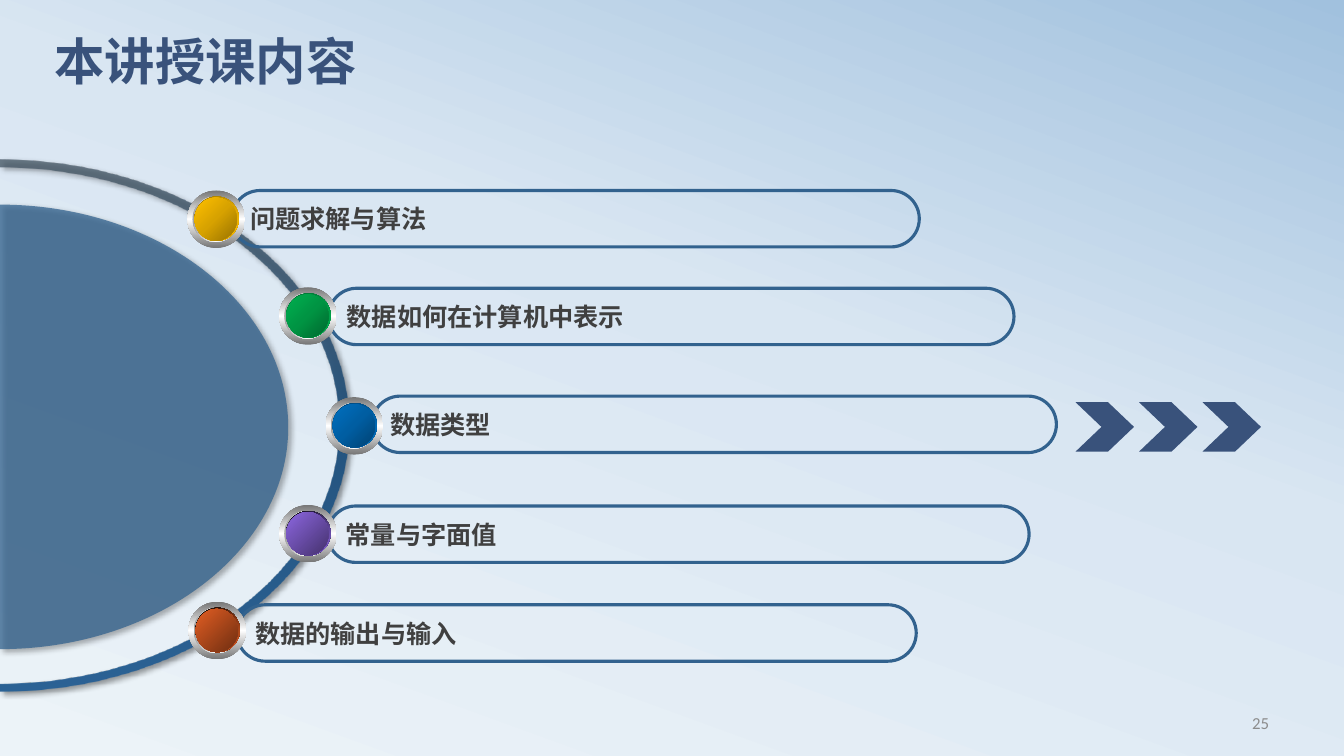
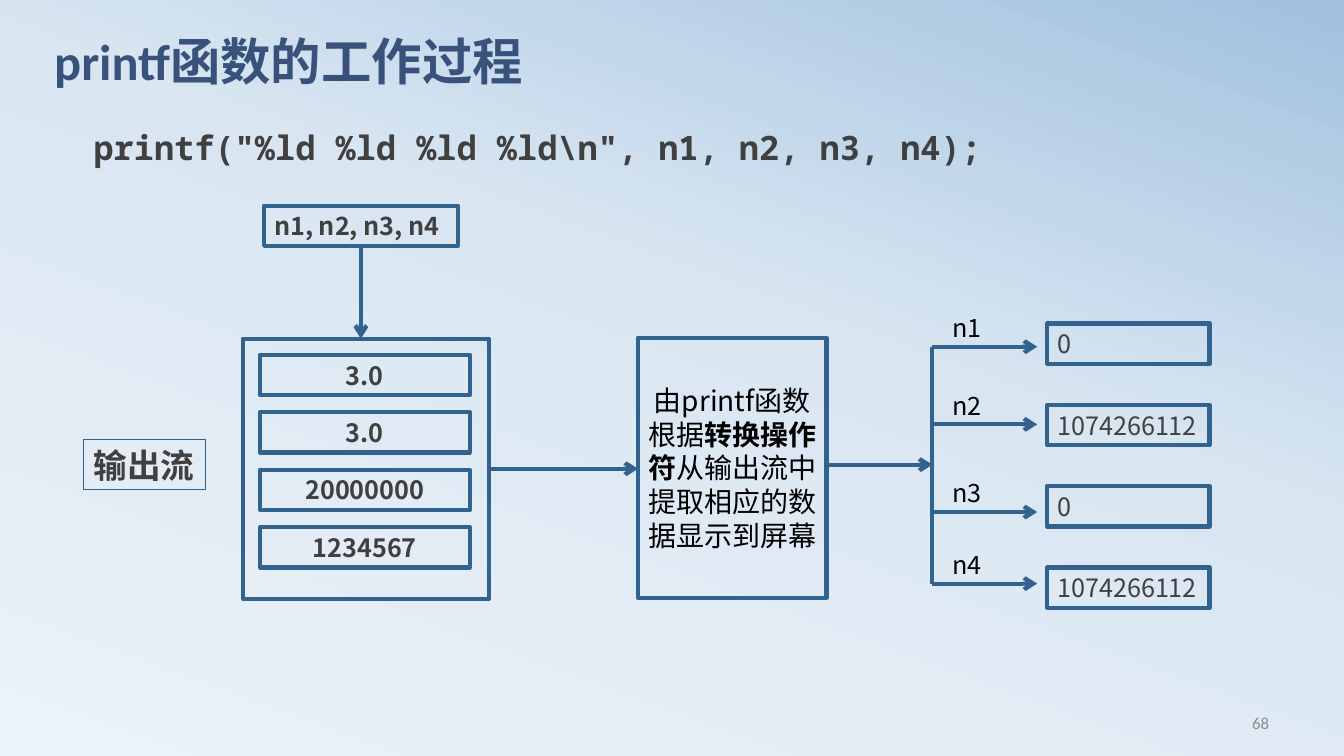
"""Build two lecture slides: an agenda on an arc and the printf data flow."""
from lxml.etree import SubElement
from pptx import Presentation
from pptx.dml.color import RGBColor
from pptx.enum.shapes import MSO_CONNECTOR, MSO_SHAPE
from pptx.enum.text import MSO_ANCHOR, MSO_AUTO_SIZE, PP_ALIGN
from pptx.oxml import parse_xml
from pptx.oxml.ns import nsdecls, qn
from pptx.util import Inches, Pt

THEME = {
    "navy": "39527B", "blue": "32628E", "text": "404040", "black": "000000", "grey": "8C8C8C",
    "background": [(0, "ECF3F8"), (58, "D9E6F2"), (100, "A1C1DE")],
    "arc": [(0, "445462", 75), (50, "24537D"), (100, "2B6295")],
    "bezel": [(0, "767676"), (50, "FFFFFF"), (100, "767676")],
    "silver": [(0, "A2A2A2"), (50, "FFFFFF"), (100, "A2A2A2")],
    "latin": "Calibri", "body": "Noto Sans CJK SC", "code": "Noto Sans Mono",
    "title": 36, "large": 24, "note": 20, "label": 18, "small": 12,
    "thick": 3, "medium": 2.25, "thin": 0.75,
}
GOLD = [(0, "977200"), (50, "D7A200"), (100, "FFC000")]
GREEN = [(0, "00682F"), (50, "009443"), (100, "00B050")]
BLUE = [(0, "004272"), (50, "005EA2"), (100, "0070C0")]
PURPLE = [(0, "8D67E1"), (100, "45326D")]
ORANGE = [(0, "E35E23"), (100, "6E2E11")]

AGENDA_TITLE, AGENDA_NUMBER = "本讲授课内容", "25"
AGENDA = [
    ("问题求解与算法", (2.3, 1.89, 6.82), (1.86, 1.89), GOLD, GOLD),
    ("数据如何在计算机中表示", (3.26, 2.86, 6.8), (2.77, 2.85), GREEN, GREEN),
    ("数据类型", (3.69, 3.93, 6.79), (3.23, 3.94), BLUE, BLUE),
    ("常量与字面值", (3.25, 5.02, 6.96), (2.77, 5.01), [(0, "000000"), (100, "8D67E1")], PURPLE),
    ("数据的输出与输入", (2.35, 6, 6.74), (1.87, 5.97), [(0, "000000"), (100, "E35E23")], ORANGE),
]
RING = [(0, 1.66), (3.36, 4.22), (0, 6.78), (0, 6.86), (3.46, 4.22), (0, 1.58)]
DOME = [(0, 2.03), (2.86, 4.24), (0, 6.44)]
ROUNDNESS = 0.55

FLOW_TITLE, FLOW_NUMBER = "printf函数的工作过程", "68"
STATEMENT = 'printf("%ld %ld %ld %ld\\n", n1, n2, n3, n4);'
ARGUMENTS, STREAM = "n1, n2, n3, n4", "输出流"
STORED = ["3.0", "3.0", "20000000", "1234567"]
EXPLANATION = [("由printf函数根据", False), ("转换操作符", True),
               ("从输出流中提取相应的数据显示到屏幕", False)]
OUTPUTS = [("n1", 3.44, "0"), ("n2", 4.21, "1074266112"),
           ("n3", 5.08, "0"), ("n4", 5.79, "1074266112")]


def colour(name):
    """Turn a theme name or a hex value into a colour."""
    return RGBColor.from_string(THEME.get(name, name))


def blend(fill, element, stops, angle=0, radial=False):
    """Give a fill gradient stops along an angle or from the lower right corner."""
    fill.solid()
    solid = element.find(".//" + qn("a:solidFill"))
    marks = ""
    for place, shade, *opacity in stops:
        alpha = "".join(f'<a:alpha val="{share * 1000}"/>' for share in opacity)
        marks += f'<a:gs pos="{place * 1000}"><a:srgbClr val="{shade}">{alpha}</a:srgbClr></a:gs>'
    course = ('<a:path path="circle"><a:fillToRect l="100000" t="100000"/></a:path>'
              if radial else f'<a:lin ang="{angle * 60000}" scaled="0"/>')
    solid.getparent().replace(solid, parse_xml(
        f'<a:gradFill {nsdecls("a")} rotWithShape="1"><a:gsLst>{marks}</a:gsLst>{course}</a:gradFill>'))


def write(shape, content, size="label", font="body", ink="text", bold=False, wrap=True,
          grow=False, align=PP_ALIGN.LEFT, anchor=MSO_ANCHOR.MIDDLE, spacing=None):
    """Write one paragraph made of a string or of (text, bold) spans."""
    frame = shape.text_frame
    fit = MSO_AUTO_SIZE.SHAPE_TO_FIT_TEXT if grow else MSO_AUTO_SIZE.NONE
    for name, value in {"word_wrap": wrap, "vertical_anchor": anchor, "auto_size": fit}.items():
        setattr(frame, name, value)
    para = frame.paragraphs[0]
    for name, value in {"alignment": align, "line_spacing": spacing}.items():
        setattr(para, name, value)
    for text, strong in [(content, bold)] if isinstance(content, str) else content:
        span = para.add_run()
        span.text = text
        formats = {"size": Pt(THEME[size]), "name": THEME[font], "bold": strong}
        for name, value in formats.items():
            setattr(span.font, name, value)
        span.font.color.rgb = colour(ink)
        east = THEME["code" if font == "code" else "body"]
        SubElement(span.font._element, qn("a:ea")).set("typeface", east)


def add_text(page, area, content, **formats):
    """Add a text box."""
    write(page.shapes.add_textbox(*map(Inches, area)), content, **formats)


def add_box(page, area, kind=MSO_SHAPE.RECTANGLE, fill=None, line=None, weight="thick"):
    """Add a preset shape with a flat fill, an outline, or neither."""
    box = page.shapes.add_shape(kind, *map(Inches, area))
    box.shadow.inherit = False
    for part, shade in ((box.fill, fill), (box.line.fill, line)):
        if shade:
            part.solid()
            part.fore_color.rgb = colour(shade)
        else:
            part.background()
    if line:
        box.line.width = Pt(THEME[weight])
    return box


def add_line(page, start, end, arrow=True):
    """Add a straight line, with an arrowhead at its end if wanted."""
    line = page.shapes.add_connector(MSO_CONNECTOR.STRAIGHT, *map(Inches, start + end))
    line.line.color.rgb = colour("blue")
    line.line.width = Pt(THEME["thick"])
    if arrow:
        SubElement(line.line._get_or_add_ln(), qn("a:tailEnd")).set("type", "arrow")
    SubElement(line._element.spPr, qn("a:effectLst"))


def round_quarters(shape):
    """Turn each slanted edge of an outline into a quarter of an ellipse."""
    x, y = None, None
    for point in list(shape._element.iter(qn("a:pt"))):
        step = point.getparent()
        end_x, end_y = int(point.get("x")), int(point.get("y"))
        if step.tag == qn("a:lnTo") and x != end_x and y != end_y:
            across, down = (round(ROUNDNESS * (end_x - x)), round(ROUNDNESS * (end_y - y)))
            handles = ([(x + across, y), (end_x, end_y - down)] if x == 0
                       else [(x, y + down), (end_x - across, end_y)])
            curve = parse_xml(f'<a:cubicBezTo {nsdecls("a")}/>')
            for place in handles + [(end_x, end_y)]:
                mark = SubElement(curve, qn("a:pt"))
                for name, value in zip("xy", place):
                    mark.set(name, str(value))
            step.getparent().replace(step, curve)
        x, y = end_x, end_y


def add_outline(page, points):
    """Add a closed rounded outline with a soft shadow."""
    corners = [(Inches(x), Inches(y)) for x, y in points]
    builder = page.shapes.build_freeform(*corners[0])
    builder.add_line_segments(corners[1:])
    shape = builder.convert_to_shape()
    round_quarters(shape)
    shape.line.fill.background()
    shape.shadow.inherit = False
    shape._element.spPr.find(qn("a:effectLst")).append(parse_xml(
        f'<a:outerShdw {nsdecls("a")} blurRad="{Pt(4)}" dist="{Pt(3)}" dir="2700000" algn="tl" '
        'rotWithShape="0"><a:srgbClr val="000000"><a:alpha val="40000"/></a:srgbClr></a:outerShdw>'))
    return shape


def add_knob(page, left, top, rim, face):
    """Stack four discs into a glossy knob."""
    discs = [
        (0, 0, 0.57, 0.57, THEME["bezel"], 90, False),
        (0.05, 0.06, 0.46, 0.45, THEME["silver"], 0, False),
        (0.07, 0.06, 0.44, 0.44, rim, 45, False),
        (0.07, 0.07, 0.42, 0.43, face, 45, len(face) == 3),
    ]
    for across, down, width, height, stops, angle, radial in discs:
        disc = add_box(page, (left + across, top + down, width, height), MSO_SHAPE.OVAL)
        blend(disc.fill, disc._element, stops, angle, radial)


def add_page(deck, title, number):
    """Add a slide with the shared title and page number."""
    page = deck.slides.add_slide(deck.slide_layouts[6])
    add_text(page, (9.58, 6.97, 3.11, 0.4), number, size="small", font="latin", ink="grey",
             align=PP_ALIGN.RIGHT)
    add_text(page, (0.44, 0.37, 12, 0.94), title, size="title", font="latin", ink="navy",
             bold=True, anchor=MSO_ANCHOR.TOP, spacing=0.8)
    return page


def build_agenda(deck):
    """Build the agenda along the arc."""
    page = add_page(deck, AGENDA_TITLE, AGENDA_NUMBER)
    arc = add_outline(page, RING)
    blend(arc.fill, arc._element, THEME["arc"], 90)
    dome = add_outline(page, DOME)
    dome.fill.solid()
    dome.fill.fore_color.rgb = colour("blue")
    shade = dome._element.spPr.find(qn("a:solidFill"))[0]
    SubElement(shade, qn("a:alpha")).set("val", "75000")
    for index in range(3):
        chevron = add_box(page, (10.67 + 0.63 * index, 3.99, 0.58, 0.49), MSO_SHAPE.CHEVRON, "navy")
        chevron.adjustments[0] = 0.525
    for label, (left, top, width), knob, rim, face in AGENDA:
        bar = add_box(page, (left, top, width, 0.56), MSO_SHAPE.ROUNDED_RECTANGLE,
                      line="blue", weight="medium")
        bar.adjustments[0] = 0.5
        write(bar, label, bold=True, wrap=False)
        add_knob(page, *knob, rim, face)


def build_flow(deck):
    """Build the flow from arguments to printed values."""
    page = add_page(deck, FLOW_TITLE, FLOW_NUMBER)
    add_text(page, (0.83, 1.21, 10.62, 0.5), STATEMENT, size="large", font="code", bold=True,
             grow=True)
    stream = add_box(page, (0.83, 4.36, 1.21, 0.5), line="blue", weight="thin")
    write(stream, STREAM, size="large", bold=True, wrap=False, grow=True)
    add_box(page, (2.41, 3.36, 2.44, 2.58), line="blue")
    arguments = add_box(page, (2.62, 2.04, 1.92, 0.4), line="blue")
    write(arguments, ARGUMENTS, bold=True, wrap=False, grow=True, anchor=MSO_ANCHOR.TOP)
    for index, value in enumerate(STORED):
        cell = add_box(page, (2.58, 3.52 + 0.57 * index, 2.08, 0.4), line="blue")
        write(cell, value, bold=True, grow=True, align=PP_ALIGN.CENTER)
    process = add_box(page, (6.33, 3.35, 1.87, 2.58), line="blue")
    write(process, EXPLANATION, size="note", ink="black", align=PP_ALIGN.CENTER, spacing=Pt(24))
    for start, end in [((3.58, 2.44), (3.58, 3.36)), ((4.85, 4.65), (6.33, 4.65)),
                       ((8.21, 4.61), (9.25, 4.61))]:
        add_line(page, start, end)
    add_line(page, (9.25, OUTPUTS[0][1]), (9.25, OUTPUTS[-1][1]), arrow=False)
    for index, (name, level, value) in enumerate(OUTPUTS):
        add_line(page, (9.25, level), (10.29, level))
        add_text(page, (9.35, level - 0.39, 0.51, 0.4), name, ink="black", wrap=False, grow=True)
        result = add_box(page, (10.39, 3.21 + 2.42 * index / 3, 1.61, 0.4), line="blue")
        write(result, value, wrap=len(value) == 1, grow=True)


def main():
    """Build and save the deck."""
    deck = Presentation()
    deck.slide_width, deck.slide_height = Inches(40 / 3), Inches(7.5)
    master = deck.slide_master
    blend(master.background.fill, master._element, THEME["background"], 290)
    build_agenda(deck)
    build_flow(deck)
    deck.save("out.pptx")


if __name__ == "__main__":
    main()
